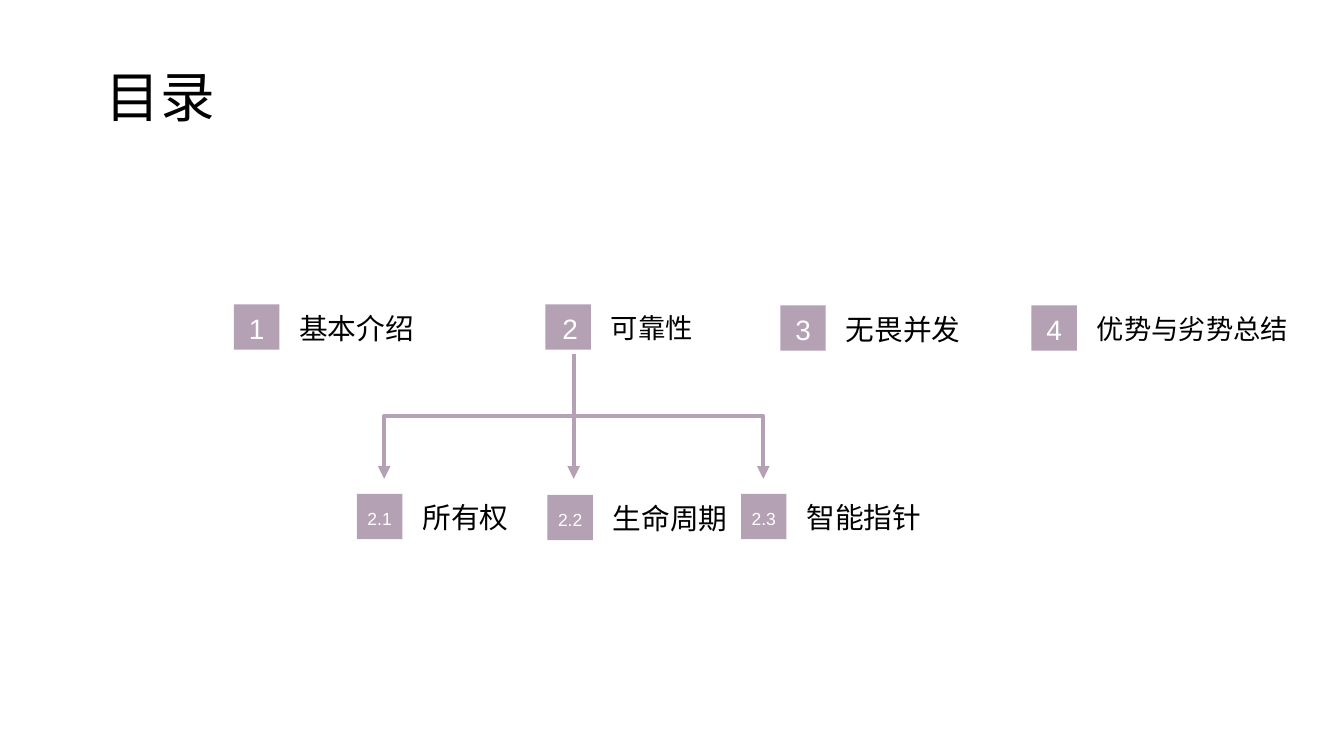
import dataclasses

import pptx
import pptx.dml.color
import pptx.enum.shapes
import pptx.enum.text
import pptx.oxml.ns
import pptx.util
from lxml import etree
from pptx.util import Inches


@dataclasses.dataclass(frozen=True)
class Theme:
    accent: str = "B4A1B4"
    paper: str = "FFFFFF"
    ink: str = "000000"
    number_font: str = "Arial"
    label_font: str = "Open Sans"
    title_size: float = 39
    chapter_size: float = 20
    section_size: float = 12.5
    label_size: float = 20.5
    small_label_size: float = 19.5
    line_width: float = 3


THEME = Theme()
SQUARE = 0.45
LABEL_OFFSET = 0.55
BRANCH_X, BRANCH_TOP, BRANCH_BOTTOM, BRANCH_REACH = 5.69, 3.51, 4.75, 1.88

# Number, label, left, top, label size, sideways shift of the number
CHAPTERS = [
    ("1", "基本介绍", 2.32, 3.02, THEME.label_size, 0),
    ("2", "可靠性", 5.41, 3.02, THEME.small_label_size, 0.02),
    ("3", "无畏并发", 7.74, 3.03, THEME.label_size, 0),
    ("4", "优势与劣势总结", 10.23, 3.03, THEME.small_label_size, 0),
]
SECTIONS = [
    ("2.1", "所有权", 3.54, 4.9, THEME.label_size, 0),
    ("2.2", "生命周期", 5.43, 4.91, THEME.label_size, 0),
    ("2.3", "智能指针", 7.35, 4.9, THEME.label_size, 0),
]


def color(value):
    return pptx.dml.color.RGBColor.from_string(value)


def write(box, text, font, size, ink, align=pptx.enum.text.PP_ALIGN.LEFT):
    frame = box.text_frame
    frame.word_wrap = True
    frame.auto_size = pptx.enum.text.MSO_AUTO_SIZE.NONE
    frame.vertical_anchor = pptx.enum.text.MSO_ANCHOR.MIDDLE
    para = frame.paragraphs[0]
    para.text = text
    para.alignment = align
    para.font.name = font
    para.font.size = pptx.util.Pt(size)
    para.font.color.rgb = color(ink)
    return frame


def add_title(page, text):
    box = page.shapes.title
    box.left, box.top = Inches(0.95), Inches(0.64)
    box.width, box.height = Inches(5.71), Inches(0.71)
    box.fill.solid()
    box.fill.fore_color.rgb = color(THEME.paper)
    frame = write(box, text, THEME.number_font, THEME.title_size, THEME.ink)
    frame.paragraphs[0].line_spacing = 0.9


def add_entry(page, number_size, number, label, left, top, label_size, shift):
    # Numbered square
    square = page.shapes.add_shape(
        pptx.enum.shapes.MSO_SHAPE.RECTANGLE,
        Inches(left), Inches(top), Inches(SQUARE), Inches(SQUARE))
    square.shadow.inherit = False
    square.fill.solid()
    square.fill.fore_color.rgb = color(THEME.accent)
    square.line.fill.background()
    frame = write(square, number, THEME.number_font, number_size, THEME.paper,
                  pptx.enum.text.PP_ALIGN.CENTER)
    frame.margin_left, frame.margin_right = Inches(2 * shift), 0
    frame.margin_top, frame.margin_bottom = Inches(0.03), 0

    # Label, as wide as its characters need
    width = len(label) * label_size / 72 + 0.25
    box = page.shapes.add_textbox(
        Inches(left + LABEL_OFFSET), Inches(top + 0.01), Inches(width), Inches(0.44))
    write(box, label, THEME.label_font, label_size, THEME.ink)


def style_arrow(arrow):
    arrow.line.color.rgb = color(THEME.accent)
    arrow.line.width = pptx.util.Pt(THEME.line_width)
    qn = pptx.oxml.ns.qn
    etree.SubElement(arrow.line._get_or_add_ln(), qn("a:tailEnd"), type="triangle")
    etree.SubElement(arrow._element.spPr, qn("a:effectLst"))


def add_bent_arrow(page, reach):
    # An elbow leaves sideways, so lay it flat about its centre and turn it 90 degrees
    center_x = BRANCH_X + reach / 2
    center_y = (BRANCH_TOP + BRANCH_BOTTOM) / 2
    half_drop = (BRANCH_BOTTOM - BRANCH_TOP) / 2
    arrow = page.shapes.add_connector(
        pptx.enum.shapes.MSO_CONNECTOR.ELBOW,
        Inches(center_x - half_drop), Inches(center_y + reach / 2),
        Inches(center_x + half_drop), Inches(center_y - reach / 2))
    arrow._element.spPr.xfrm.set("rot", str(90 * 60000))
    style_arrow(arrow)


def add_straight_arrow(page):
    middle = (BRANCH_TOP + BRANCH_BOTTOM) / 2
    arrow = page.shapes.add_connector(
        pptx.enum.shapes.MSO_CONNECTOR.STRAIGHT,
        Inches(BRANCH_X), Inches(middle), Inches(BRANCH_X), Inches(BRANCH_BOTTOM))
    style_arrow(arrow)


def main():
    deck = pptx.Presentation()
    deck.slide_width, deck.slide_height = Inches(13.33), Inches(7.5)
    page = deck.slides.add_slide(deck.slide_layouts.get_by_name("Title Only"))

    add_title(page, "目录")

    # Chapters above, sections of chapter 2 below
    for chapter in CHAPTERS:
        add_entry(page, THEME.chapter_size, *chapter)
    for section in SECTIONS:
        add_entry(page, THEME.section_size, *section)

    # Branches from chapter 2 to its sections
    for reach in (BRANCH_REACH, -BRANCH_REACH):
        add_bent_arrow(page, reach)
    add_straight_arrow(page)

    deck.save("out.pptx")


if __name__ == "__main__":
    main()
